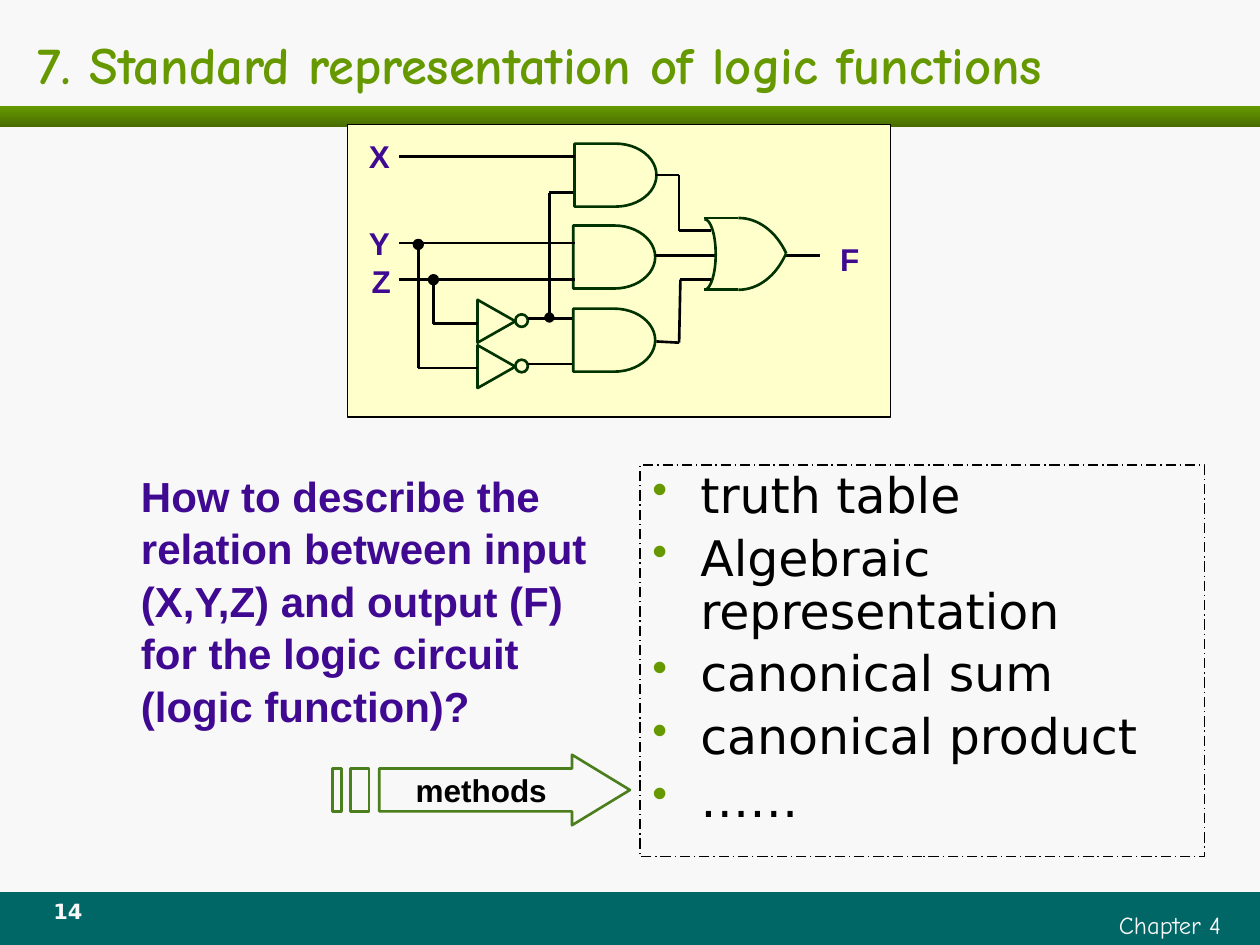
from pptx import Presentation, util as u
from pptx.dml.color import RGBColor
from pptx.enum import dml, shapes, text
from pptx.oxml.ns import qn
from lxml import etree

deck = Presentation()
deck.slide_width, deck.slide_height = u.Inches(10), u.Inches(7.5)
slide = deck.slides.add_slide(deck.slide_layouts[6])
kit = slide.shapes
unit = deck.slide_width // 1000
hue = RGBColor.from_string
kind = shapes.MSO_SHAPE
side = text.PP_ALIGN
INK, GREEN, DARK, PLUM, PALE = "000000", "669900", "003300", "400991", "F8F8F8"


def style(item, fill=None, line=None, width=1.5):
    if hasattr(item, "fill"):
        item.shadow.inherit = False
        if fill:
            item.fill.solid()
            item.fill.fore_color.rgb = hue(fill)
        else:
            item.fill.background()
    if line:
        item.line.color.rgb = hue(line)
        item.line.width = u.Pt(width)
    else:
        item.line.fill.background()
    if not hasattr(item, "fill"):
        etree.SubElement(item._element.spPr, qn("a:effectLst"))
    return item


def write(words, spot=None, host=None, size=18, font="Arial", color=INK, bold=True,
          align=side.LEFT, mid=False, wrap=True, lead=None, gap=0, dot=None):
    host = host or kit.add_textbox(*[n * unit for n in spot])
    frame = host.text_frame
    frame.word_wrap = wrap
    frame.vertical_anchor = text.MSO_ANCHOR.MIDDLE if mid else text.MSO_ANCHOR.TOP
    for i, line in enumerate(words.split("\n")):
        para = frame.add_paragraph() if i else frame.paragraphs[0]
        para.alignment = align
        if lead:
            para.line_spacing = lead
        if i:
            para.space_before = u.Pt(gap)
        if dot:
            props = para._p.get_or_add_pPr()
            props.set("marL", str(38 * unit))
            props.set("indent", str(-38 * unit))
            tint = etree.SubElement(props, qn("a:buClr"))
            etree.SubElement(tint, qn("a:srgbClr"), val=dot)
            etree.SubElement(props, qn("a:buSzPct"), val="90000")
            etree.SubElement(props, qn("a:buChar"), char="•")
        run = para.add_run()
        run.text = line
        run.font.size, run.font.name, run.font.bold = u.Pt(size), font, bold
        run.font.color.rgb = hue(color)


slide.background.fill.solid()
slide.background.fill.fore_color.rgb = hue(PALE)

parts = [
    (kind.RECTANGLE, (0, 708, 1000, 42), "006666", None, 0),
    (kind.RECTANGLE, (0, 84, 1000, 17), GREEN, None, 0),
    (kind.RECTANGLE, (508, 369, 448, 311), None, INK, 0.75),
    (kind.RECTANGLE, (276, 99, 431, 232), "FFFFCC", INK, 0.75),
]
parts += [(kind.FLOWCHART_DELAY, (x, y, 65, 50), None, DARK, 1.5)
          for x, y in [(456, 114), (455, 179), (455, 245)]]
for y in (240, 276):
    parts += [(kind.ISOSCELES_TRIANGLE, (377, y, 34, 30), None, DARK, 1.5),
              (kind.OVAL, (409, y + 9.5, 10, 10), None, DARK, 1.5)]
parts += [(kind.OVAL, (x, y, 8, 8), INK, INK, 0.75) for x, y in [(340, 218), (328, 190)]]

made = []
for form, spot, fill, line, width in parts:
    item = kit.add_shape(form, *[int(n * unit) for n in spot])
    made.append(style(item, fill, line, width))
    if form == kind.ISOSCELES_TRIANGLE:
        item.rotation = 90

band, frame = made[1:3]
band.fill.gradient()
band.fill.gradient_angle = 270
for stop, tone in zip(band.fill.gradient_stops, (GREEN, "496D00")):
    stop.color.rgb = hue(tone)
frame.line.dash_style = dml.MSO_LINE.LONG_DASH_DOT

wires = [
    (INK, [(456, 124), (317, 124)]),
    (INK, [(456, 193), (317, 193)]),
    (INK, [(456, 222), (317, 222)]),
    (INK, [(569, 203), (520, 203)]),
    (INK, [(454, 253), (419, 253)]),
    (INK, [(454, 289), (419, 289)]),
    (INK, [(379, 257), (344, 257), (344, 221)]),
    (INK, [(379, 292), (332, 292), (332, 194)]),
    (INK, [(521, 271), (539, 272), (540, 222), (564, 222)]),
    (INK, [(520, 139), (539, 139), (539, 183), (564, 183)]),
    (INK, [(651, 203), (624, 203)]),
    (DARK, [(559, 173), (586, 173)]),
    (DARK, [(559, 230), (586, 230)]),
    (INK, [(455, 153), (436, 153), (436, 252)]),
]
for tone, route in wires:
    for start, end in zip(route, route[1:]):
        wire = kit.add_connector(shapes.MSO_CONNECTOR.STRAIGHT,
                                 *[n * unit for n in start + end])
        style(wire, line=tone)
etree.SubElement(wire.line._get_or_add_ln(), qn("a:tailEnd"), type="oval")

curves = [
    [(559, 174), (564, 174), (568, 186), (568, 202)],
    [(568, 202), (568, 217), (564, 230), (559, 230)],
    [(624, 201), (616, 219), (602, 230), (586, 230)],
    [(586, 173), (602, 173), (616, 184), (624, 201)],
]
for bend in curves:
    dots = []
    for step in range(17):
        t = step / 16
        share = ((1 - t) ** 3, 3 * t * (1 - t) ** 2, 3 * t * t * (1 - t), t ** 3)
        dots.append([sum(s * p[k] for s, p in zip(share, bend)) * unit for k in (0, 1)])
    pen = kit.build_freeform(*dots[0])
    pen.add_line_segments(dots[1:], close=False)
    style(pen.convert_to_shape(), line=DARK)

pen = kit.build_freeform(454, 599, scale=unit)
pen.add_line_segments([(454, 610), (301, 610), (301, 644), (454, 644), (454, 655), (500, 627)])
for left, right in [(278, 293), (264, 271)]:
    pen.move_to(left, 610)
    pen.add_line_segments([(left, 644), (right, 644), (right, 610)])
arrow = style(pen.convert_to_shape(), line="4B7E1C")
write("methods", host=arrow, align=side.CENTER, mid=True, wrap=False)

for name, spot in [("X", (283, 104, 37, 40)), ("Y", (283, 173, 37, 40)),
                   ("Z", (285, 203, 35, 40)), ("F", (657, 186, 35, 40))]:
    write(name, spot, color=PLUM, wrap=False)

write("7. Standard representation of logic functions", (20, 17, 955, 67),
      size=30, font="Comic Neue", color=GREEN, mid=True)
write("How to describe the relation between input (X,Y,Z) and output (F) "
      "for the logic circuit (logic function)?", (102, 367, 398, 210),
      size=24, color=PLUM, lead=1.04)
write("truth table\nAlgebraic representation\ncanonical sum\ncanonical product\n……",
      host=frame, size=28, font="DejaVu Sans", bold=False, lead=0.9, gap=5.6, dot=GREEN)
write("Chapter 4", (579, 717, 400, 33), size=14, font="Comic Neue", color=PALE,
      bold=False, align=side.RIGHT)
write("14", (25, 708, 58, 33), size=12, font="DejaVu Sans", color=PALE, align=side.CENTER)

deck.save("out.pptx")
